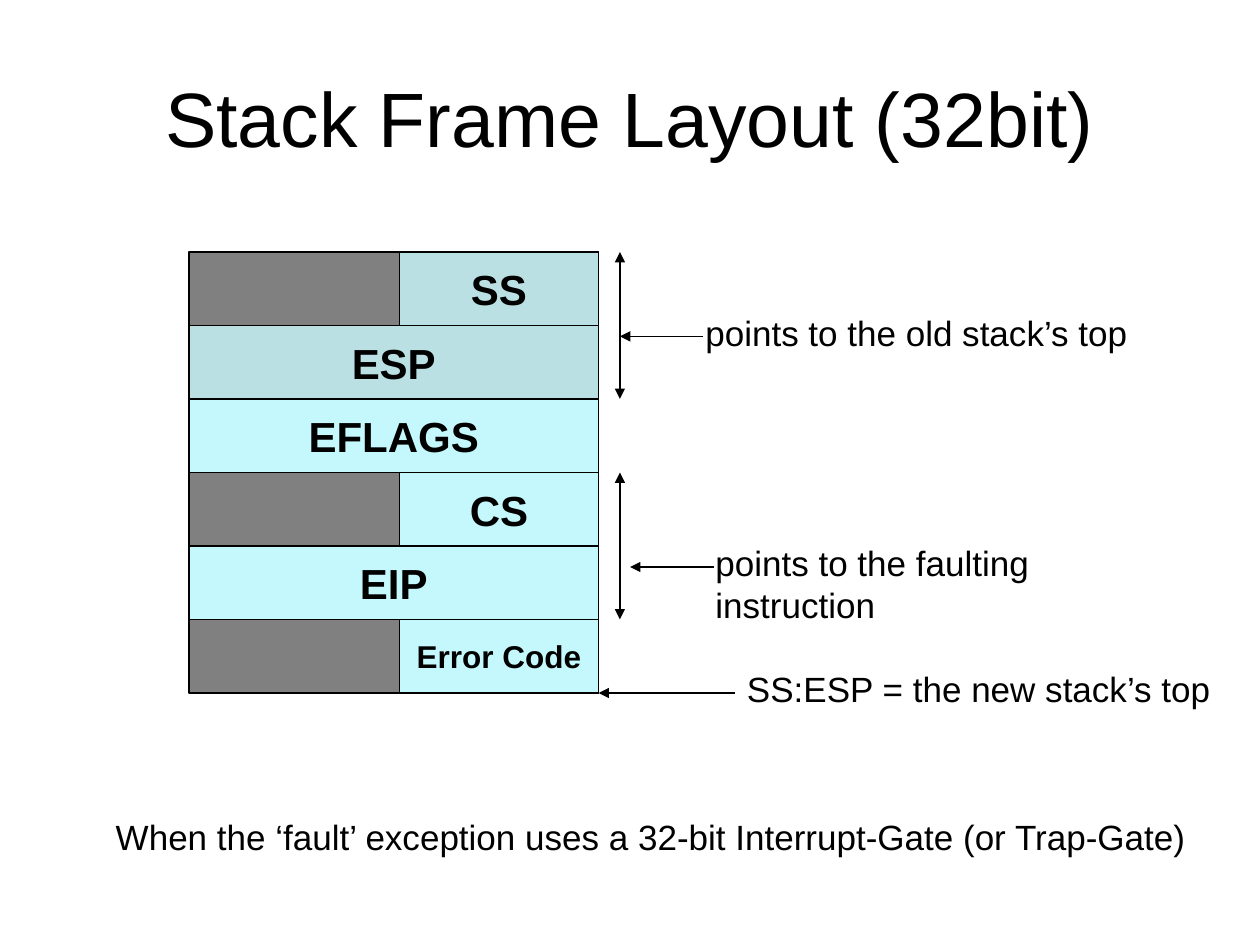
from pptx import Presentation, util as u
from pptx.dml.color import RGBColor
from pptx.enum import shapes as es, text as et
from pptx.oxml.ns import qn
from lxml import etree

THEME = dict(font="Arial", ink="000000", unused="808080", old="BBE0E3", new="C5F8FD",
             title=44, cell=24, small=18, note=20, line=0.75)

# register, fill, type size, whether only the low half of the row is used
ROWS = [
    ("SS", "old", "cell", True),
    ("ESP", "old", "cell", False),
    ("EFLAGS", "new", "cell", False),
    ("CS", "new", "cell", True),
    ("EIP", "new", "cell", False),
    ("Error Code", "new", "small", True),
]
TITLE = ("Stack Frame Layout (32bit)", (0.5, 0.3, 9, 1.25))
NOTES = [
    ("points to the old stack’s top", (5.5, 2.42, 3.56, 0.44)),
    ("points to the faulting instruction", (5.58, 4.25, 4.03, 0.44)),
    ("SS:ESP = the new stack’s top", (5.83, 5.25, 3.89, 0.44)),
    ("When the ‘fault’ exception uses a 32-bit Interrupt-Gate (or Trap-Gate)",
     (0.82, 6.42, 8.72, 0.44)),
]
LEFT, TOP, WIDTH, HIGH = 1.5, 2, 3.25, 3.5 / 6
HALF = 1.58
RIGHT = LEFT + WIDTH
SPAN_X = 4.92
SPANS = [0, 3]  # first row of each two-row span
ARROWS = [(5.58, SPAN_X, 2.67), (5.67, 5, 4.5), (5.83, RIGHT, TOP + 6 * HIGH)]


def color(name):
    return RGBColor.from_string(THEME[name])


def write(shape, words, size="note", bold=False, center=False, middle=False, wrap=False):
    frame = shape.text_frame
    frame.word_wrap = wrap
    frame.vertical_anchor = et.MSO_ANCHOR.MIDDLE if middle else et.MSO_ANCHOR.TOP
    para = frame.paragraphs[0]
    para.alignment = et.PP_ALIGN.CENTER if center else et.PP_ALIGN.LEFT
    run = para.add_run()
    run.text = words
    font = run.font
    font.name, font.size, font.bold = THEME["font"], u.Pt(THEME[size]), bold
    font.color.rgb = color("ink")


def label(slide, words, box, **form):
    write(slide.shapes.add_textbox(*map(u.Inches, box)), words, **form)


def cell(slide, box, fill):
    shape = slide.shapes.add_shape(es.MSO_SHAPE.RECTANGLE, *map(u.Inches, box))
    shape.shadow.inherit = False
    shape.fill.solid()
    shape.fill.fore_color.rgb = color(fill)
    shape.line.color.rgb = color("ink")
    shape.line.width = u.Pt(THEME["line"])
    return shape


def arrow(slide, ends, both=False):
    """Draw a line from (x1, y1) to (x2, y2), pointed at its end or at both ends."""
    line = slide.shapes.add_connector(es.MSO_CONNECTOR.STRAIGHT, *map(u.Inches, ends))
    line.line.color.rgb = color("ink")
    line.line.width = u.Pt(THEME["line"])
    props = line.line._get_or_add_ln()
    for tag in ("a:headEnd", "a:tailEnd") if both else ("a:tailEnd",):
        etree.SubElement(props, qn(tag), type="triangle")
    etree.SubElement(line._element.spPr, qn("a:effectLst"))


def main():
    deck = Presentation()
    deck.slide_width, deck.slide_height = u.Inches(10), u.Inches(7.5)
    slide = deck.slides.add_slide(deck.slide_layouts[6])

    label(slide, *TITLE, size="title", center=True, middle=True, wrap=True)
    for i, (name, fill, size, half) in enumerate(ROWS):
        y = TOP + i * HIGH
        box = (LEFT, y, WIDTH, HIGH)
        if half:
            cell(slide, box, "unused")
            box = (RIGHT - HALF, y, HALF, HIGH)
        write(cell(slide, box, fill), name, size=size, bold=True, center=True, middle=True)

    for row in SPANS:
        y = TOP + row * HIGH
        arrow(slide, (SPAN_X, y, SPAN_X, y + 2 * HIGH), both=True)
    for start, end, y in ARROWS:
        arrow(slide, (start, y, end, y))
    for words, box in NOTES:
        label(slide, words, box)

    deck.save("out.pptx")


if __name__ == "__main__":
    main()
